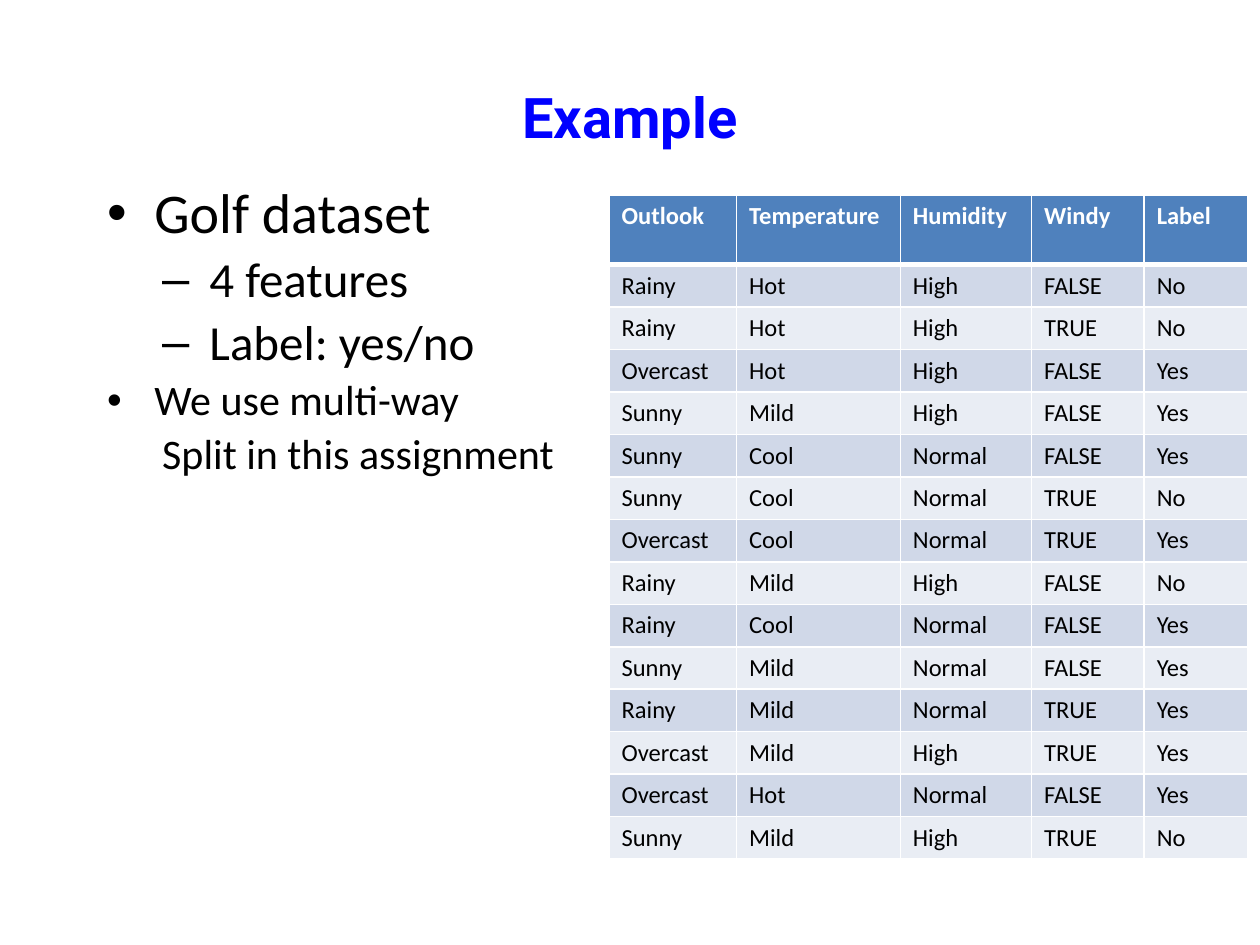
from dataclasses import dataclass

from lxml import etree
from pptx import Presentation
from pptx.dml.color import RGBColor
from pptx.enum import text
from pptx.oxml import ns
from pptx.util import Pt

COLORS = {
    "title": "0000FF",
    "body": "000000",
    "header": "4F81BD",
    "header_text": "FFFFFF",
    "odd_row": "D0D8E8",
    "even_row": "E9EDF4",
    "border": "FFFFFF",
}


@dataclass(frozen=True)
class Item:
    words: str
    size: float
    level: int
    margin: float
    indent: float
    bullet: str = ""


ITEMS = [
    Item("Golf dataset", 32, 0, 27, -27, "•"),
    Item("4 features", 28, 1, 58.5, -27, "–"),
    Item("Label: yes/no", 28, 1, 58.5, -27, "–"),
    Item("We use multi-way", 24, 0, 27, -27, "•"),
    Item("Split in this assignment", 24, 1, 31.5, 0),
]

COLUMN_WIDTHS = [72.9, 93.6, 75, 64.4, 59.1]
HEADER_HEIGHT, ROW_HEIGHT = 39.6, 24
HEADINGS = ("Outlook", "Temperature", "Humidity", "Windy", "Label")
RECORDS = [
    ("Rainy", "Hot", "High", "FALSE", "No"),
    ("Rainy", "Hot", "High", "TRUE", "No"),
    ("Overcast", "Hot", "High", "FALSE", "Yes"),
    ("Sunny", "Mild", "High", "FALSE", "Yes"),
    ("Sunny", "Cool", "Normal", "FALSE", "Yes"),
    ("Sunny", "Cool", "Normal", "TRUE", "No"),
    ("Overcast", "Cool", "Normal", "TRUE", "Yes"),
    ("Rainy", "Mild", "High", "FALSE", "No"),
    ("Rainy", "Cool", "Normal", "FALSE", "Yes"),
    ("Sunny", "Mild", "Normal", "FALSE", "Yes"),
    ("Rainy", "Mild", "Normal", "TRUE", "Yes"),
    ("Overcast", "Mild", "High", "TRUE", "Yes"),
    ("Overcast", "Hot", "Normal", "FALSE", "Yes"),
    ("Sunny", "Mild", "High", "TRUE", "No"),
]


def rgb(name: str) -> RGBColor:
    return RGBColor.from_string(COLORS[name])


def place(box, left: float, top: float, width: float, height: float) -> None:
    box.left, box.top = Pt(left), Pt(top)
    box.width, box.height = Pt(width), Pt(height)
    box.text_frame.word_wrap = True
    box.text_frame.auto_size = text.MSO_AUTO_SIZE.NONE


def add_span(para, words: str, size: float, color: str,
             font: str = "Calibri", bold: bool = False) -> None:
    span = para.add_run()
    span.text = words
    span.font.name, span.font.size, span.font.bold = font, Pt(size), bold
    span.font.color.rgb = rgb(color)


def add_item(para, item: Item) -> None:
    para.level = item.level
    para.line_spacing = 0.9
    para.space_before = Pt(item.size * 0.2)
    properties = para._p.get_or_add_pPr()
    properties.set("marL", str(Pt(item.margin)))
    properties.set("indent", str(Pt(item.indent)))
    if item.bullet:
        etree.SubElement(properties, ns.qn("a:buChar")).set("char", item.bullet)
    else:
        etree.SubElement(properties, ns.qn("a:buNone"))
    add_span(para, item.words, item.size, "body")


def set_borders(cell, bottom: float) -> None:
    properties = cell._tc.get_or_add_tcPr()
    widths = {"a:lnL": 1, "a:lnR": 1, "a:lnT": 1, "a:lnB": bottom}
    for position, (tag, width) in enumerate(widths.items()):
        line = etree.Element(ns.qn(tag), w=str(Pt(width)))
        fill = etree.SubElement(line, ns.qn("a:solidFill"))
        etree.SubElement(fill, ns.qn("a:srgbClr")).set("val", COLORS["border"])
        properties.insert(position, line)


def add_golf_table(page) -> None:
    rows = [HEADINGS, *RECORDS]
    height = HEADER_HEIGHT + ROW_HEIGHT * len(RECORDS)
    table = page.shapes.add_table(
        len(rows), len(HEADINGS), Pt(348), Pt(111.6),
        Pt(sum(COLUMN_WIDTHS)), Pt(height)).table
    table.horz_banding = False
    for column, width in zip(table.columns, COLUMN_WIDTHS):
        column.width = Pt(width)
    for index, values in enumerate(rows):
        header = index == 0
        table.rows[index].height = Pt(HEADER_HEIGHT if header else ROW_HEIGHT)
        band = "header" if header else "odd_row" if index % 2 else "even_row"
        for cell, value in zip(table.rows[index].cells, values):
            cell.fill.solid()
            cell.fill.fore_color.rgb = rgb(band)
            set_borders(cell, bottom=3 if header else 1)
            add_span(cell.text_frame.paragraphs[0], value, 14,
                     "header_text" if header else "body", bold=header)


def main() -> None:
    deck = Presentation()
    deck.slide_width, deck.slide_height = Pt(720), Pt(540)
    page = deck.slides.add_slide(deck.slide_layouts[1])

    title = page.shapes.title
    place(title, 36, 21.6, 648, 90)
    title.text_frame.vertical_anchor = text.MSO_ANCHOR.MIDDLE
    heading = title.text_frame.paragraphs[0]
    heading.alignment = text.PP_ALIGN.CENTER
    add_span(heading, "Example", 32, "title", "Roboto", bold=True)

    body = page.placeholders[1]
    place(body, 54, 102.2, 630, 401.8)
    frame = body.text_frame
    for index, item in enumerate(ITEMS):
        add_item(frame.add_paragraph() if index else frame.paragraphs[0], item)

    add_golf_table(page)
    deck.save("out.pptx")


if __name__ == "__main__":
    main()
